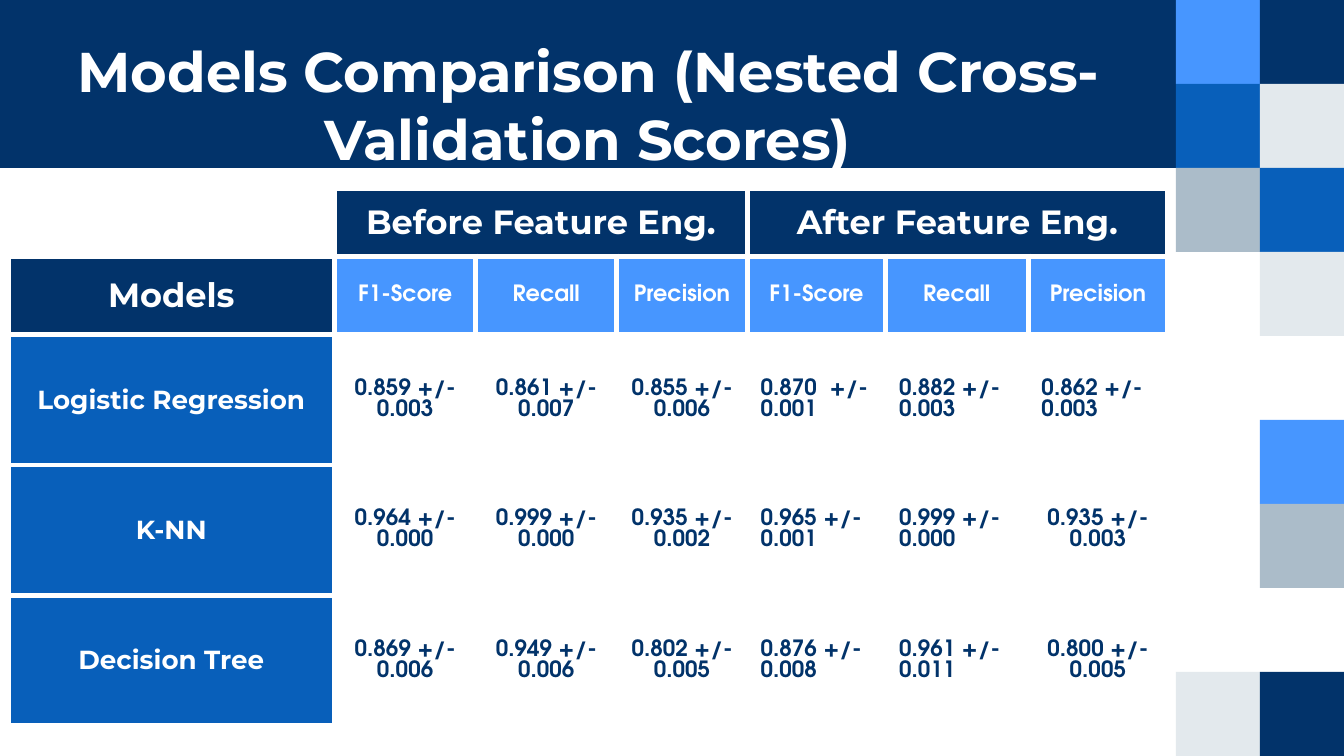
from dataclasses import dataclass
from typing import Any

from lxml.etree import SubElement
from pptx import Presentation
from pptx.dml.color import RGBColor as Rgb
from pptx.enum.shapes import MSO_SHAPE as Preset
from pptx.enum.text import MSO_ANCHOR as Anchor, MSO_AUTO_SIZE as Fit, PP_ALIGN as Align
from pptx.oxml.ns import qn
from pptx.util import Inches, Pt

WIDTH = Inches(10)
UNIT = WIDTH // 16
HEIGHT = UNIT * 9


@dataclass(frozen=True)
class Theme:
    navy: str = "02336A"
    blue: str = "085FBA"
    sky: str = "4796FF"
    mist: str = "E3E9ED"
    slate: str = "ABBCC9"
    white: str = "FFFFFF"
    heading: str = "Montserrat"
    body: str = "TeX Gyre Adventor"
    title_size: int = 30
    group_size: int = 18
    model_size: int = 14
    score_size: int = 12
    rule: int = 3


THEME = Theme()


@dataclass(frozen=True)
class Tile:
    column: int
    row: int
    color: str


@dataclass(frozen=True)
class CellStyle:
    font: str
    size: int
    color: str
    fill: str | None = None


@dataclass(frozen=True)
class Model:
    name: str
    scores: tuple[str, ...]
    left_columns: tuple[int, ...]


TILES = (
    Tile(14, 0, THEME.sky), Tile(15, 0, THEME.navy),
    Tile(14, 1, THEME.blue), Tile(15, 1, THEME.mist),
    Tile(14, 2, THEME.slate), Tile(15, 2, THEME.blue),
    Tile(15, 3, THEME.mist), Tile(15, 5, THEME.sky),
    Tile(15, 6, THEME.slate),
    Tile(14, 8, THEME.mist), Tile(15, 8, THEME.navy),
)

GROUP = CellStyle(THEME.heading, THEME.group_size, THEME.white, THEME.navy)
METRIC = CellStyle(THEME.body, THEME.score_size, THEME.white, THEME.sky)
MODEL = CellStyle(THEME.heading, THEME.model_size, THEME.white, THEME.blue)
SCORE = CellStyle(THEME.body, THEME.score_size, THEME.navy)

GROUPS = ("Before Feature Eng.", "After Feature Eng.")
METRICS = ("F1-Score", "Recall", "Precision")
MODELS = (
    Model("Logistic Regression",
          ("0.859 +/- 0.003", "0.861 +/- 0.007", "0.855 +/- 0.006",
           "0.870  +/- 0.001", "0.882 +/- 0.003", "0.862 +/- 0.003"), (4, 5, 6)),
    Model("K-NN",
          ("0.964 +/- 0.000", "0.999 +/- 0.000", "0.935 +/- 0.002",
           "0.965 +/- 0.001", "0.999 +/- 0.000", "0.935 +/- 0.003"), (4, 5)),
    Model("Decision Tree",
          ("0.869 +/- 0.006", "0.949 +/- 0.006", "0.802 +/- 0.005",
           "0.876 +/- 0.008", "0.961 +/- 0.011", "0.800 +/- 0.005"), (4, 5)),
)

COLUMN_PERCENTS = (24.3, 10.5, 10.5, 9.7, 10.3, 10.6, 10.4)
ROW_PERCENTS = (8.89, 10.4, 17.24, 17.24, 17.24)
TABLE_LEFT, TABLE_TOP = 0.6, 24.89


def across(percent: float) -> int:
    return round(WIDTH * percent / 100)


def down(percent: float) -> int:
    return round(HEIGHT * percent / 100)


def apply(target: Any, values: dict[str, Any]) -> None:
    for key, value in values.items():
        setattr(target, key, value)


def paint(part: Any, color: str) -> None:
    part.fill.solid()
    part.fill.fore_color.rgb = Rgb.from_string(color)


def write(frame: Any, text: str, style: CellStyle, align: Align = Align.CENTER) -> None:
    line = frame.paragraphs[0]
    line.alignment = align
    run = line.add_run()
    run.text = text
    apply(run.font, {"name": style.font, "size": Pt(style.size), "bold": True})
    run.font.color.rgb = Rgb.from_string(style.color)


def add_title(slide: Any) -> None:
    title = slide.shapes.title
    apply(title, {"left": 0, "top": 0, "width": UNIT * 14, "height": UNIT * 2})
    paint(title, THEME.navy)
    frame = title.text_frame
    apply(frame, {"word_wrap": True, "auto_size": Fit.NONE,
                  "vertical_anchor": Anchor.MIDDLE, "margin_left": Inches(0.1),
                  "margin_right": Inches(0.1), "margin_top": Inches(0.3),
                  "margin_bottom": 0})
    write(frame, "Models Comparison (Nested Cross-Validation Scores)",
          CellStyle(THEME.heading, THEME.title_size, THEME.white))


def add_tile(slide: Any, tile: Tile) -> None:
    square = slide.shapes.add_shape(
        Preset.RECTANGLE, UNIT * tile.column, UNIT * tile.row, UNIT, UNIT)
    square.shadow.inherit = False
    square.line.fill.background()
    paint(square, tile.color)


def prepare_cell(cell: Any) -> None:
    margin = Inches(0.1)
    apply(cell, {"vertical_anchor": Anchor.MIDDLE, "margin_left": margin,
                 "margin_right": margin, "margin_top": margin,
                 "margin_bottom": margin})
    properties = cell._tc.get_or_add_tcPr()
    for side in ("a:lnL", "a:lnR", "a:lnT", "a:lnB"):
        border = SubElement(properties, qn(side), w=str(Pt(THEME.rule)))
        solid = SubElement(border, qn("a:solidFill"))
        SubElement(solid, qn("a:srgbClr"), val=THEME.white)
    cell.fill.background()


def fill_cell(cell: Any, text: str, style: CellStyle, align: Align = Align.CENTER) -> None:
    write(cell.text_frame, text, style, align)
    if style.fill:
        paint(cell, style.fill)


def add_scores(slide: Any) -> None:
    scores = slide.shapes.add_table(
        len(ROW_PERCENTS), len(COLUMN_PERCENTS), across(TABLE_LEFT), down(TABLE_TOP),
        across(sum(COLUMN_PERCENTS)), down(sum(ROW_PERCENTS))).table
    apply(scores, {"first_row": False, "horz_banding": False})
    for column, percent in zip(scores.columns, COLUMN_PERCENTS):
        column.width = across(percent)
    for row, percent in zip(scores.rows, ROW_PERCENTS):
        row.height = down(percent)
    for cell in scores.iter_cells():
        prepare_cell(cell)

    fill_cell(scores.cell(1, 0), "Models", GROUP)
    span = len(METRICS)
    for index, group in enumerate(GROUPS):
        first = 1 + index * span
        scores.cell(0, first).merge(scores.cell(0, first + span - 1))
        fill_cell(scores.cell(0, first), group, GROUP)
        for column, metric in enumerate(METRICS, first):
            fill_cell(scores.cell(1, column), metric, METRIC)
    for row, model in enumerate(MODELS, 2):
        fill_cell(scores.cell(row, 0), model.name, MODEL)
        for column, score in enumerate(model.scores, 1):
            align = Align.LEFT if column in model.left_columns else Align.CENTER
            fill_cell(scores.cell(row, column), score, SCORE, align)


def main() -> None:
    deck = Presentation()
    apply(deck, {"slide_width": WIDTH, "slide_height": HEIGHT})
    slide = deck.slides.add_slide(deck.slide_layouts[5])
    for tile in TILES:
        add_tile(slide, tile)
    add_title(slide)
    add_scores(slide)
    deck.save("out.pptx")


if __name__ == "__main__":
    main()
